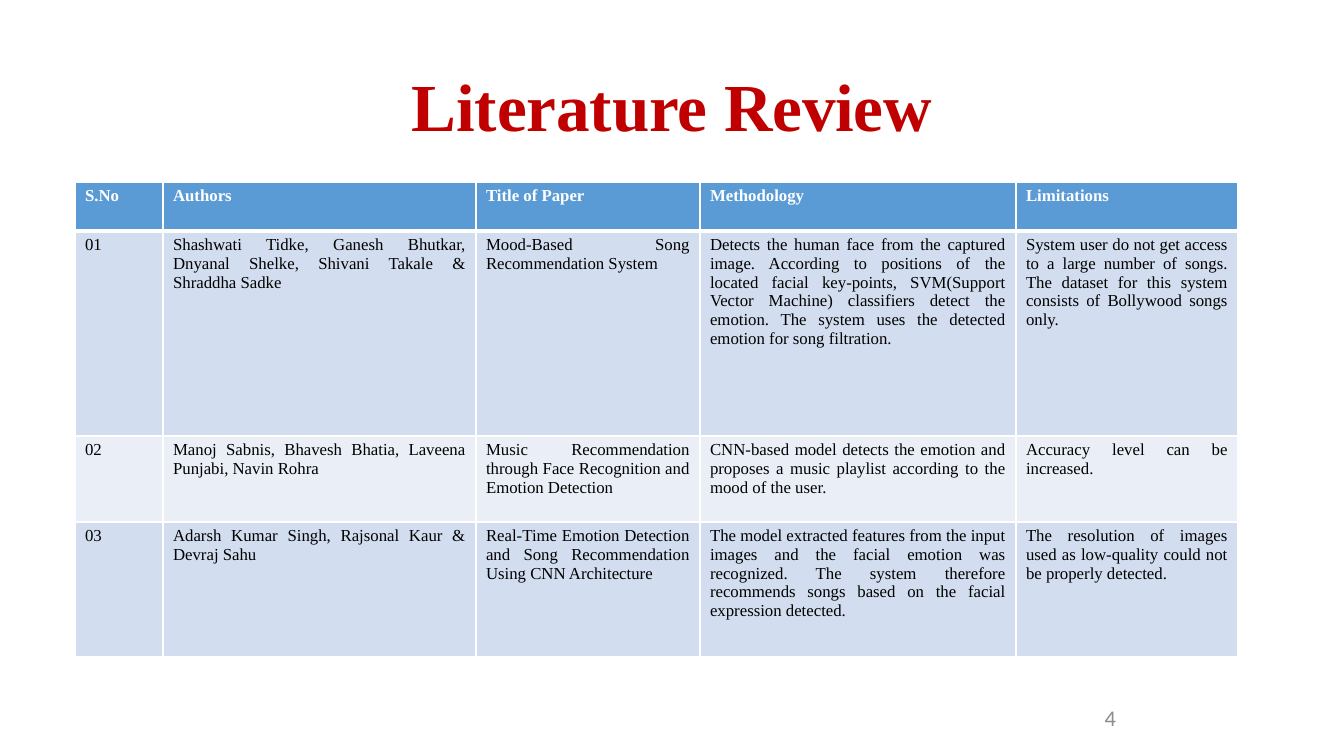
from dataclasses import dataclass

from lxml import etree
from pptx import Presentation
from pptx.dml.color import RGBColor
from pptx.enum.text import MSO_ANCHOR, MSO_AUTO_SIZE, PP_ALIGN
from pptx.oxml.ns import qn
from pptx.util import Emu, Pt

CENTER, JUSTIFY, LEFT, RIGHT = PP_ALIGN.CENTER, PP_ALIGN.JUSTIFY, PP_ALIGN.LEFT, PP_ALIGN.RIGHT
MIDDLE = MSO_ANCHOR.MIDDLE
FIT_SHAPE = MSO_AUTO_SIZE.SHAPE_TO_FIT_TEXT
EMU_PER_PX = 914400 / 100.8
TITLE_ONLY = 5

SERIF = "Times New Roman"
WHITE, BLACK, RED, GREY = "FFFFFF", "000000", "C00000", "8C8C8C"
HEADER_BLUE, BAND_DARK, BAND_LIGHT = "5B9BD5", "D2DEEF", "EAEFF7"


@dataclass(frozen=True)
class Paper:
    authors: str
    title: str
    methodology: str
    limitations: str


HEADINGS = ["S.No", "Authors", "Title of Paper", "Methodology", "Limitations"]
COLUMN_WIDTHS = [88, 313, 224, 316, 222]
ROW_HEIGHTS = [49, 205, 86, 135]
PAPERS = [
    Paper(
        "Shashwati Tidke, Ganesh Bhutkar, Dnyanal Shelke, Shivani Takale & Shraddha Sadke",
        "Mood-Based Song Recommendation System",
        "Detects the human face from the captured image. According to positions of the "
        "located facial key-points, SVM(Support Vector Machine) classifiers detect the "
        "emotion. The system uses the detected emotion for song filtration.",
        "System user do not get access to a large number of songs. The dataset for this "
        "system consists of Bollywood songs only.",
    ),
    Paper(
        "Manoj Sabnis, Bhavesh Bhatia, Laveena Punjabi, Navin Rohra",
        "Music Recommendation through Face Recognition and Emotion Detection",
        "CNN-based model detects the emotion and proposes a music playlist according to "
        "the mood of the user.",
        "Accuracy level can be increased.",
    ),
    Paper(
        "Adarsh Kumar Singh, Rajsonal Kaur & Devraj Sahu",
        "Real-Time Emotion Detection and Song Recommendation Using CNN Architecture",
        "The model extracted features from the input images and the facial emotion was "
        "recognized. The system therefore recommends songs based on the facial expression "
        "detected.",
        "The resolution of images used as low-quality could not be properly detected.",
    ),
]


def px(length: int) -> Emu:
    return Emu(round(length * EMU_PER_PX))


def color(hex_code: str) -> RGBColor:
    return RGBColor.from_string(hex_code)


def write(frame, text: str, *, size: int = 12, font: str = SERIF, ink: str = BLACK,
          bold: bool = False, align=LEFT):
    """Fill a text frame with one formatted paragraph and return it."""
    paragraph = frame.paragraphs[0]
    paragraph.alignment = align
    run = paragraph.add_run()
    run.text = text
    run.font.size = Pt(size)
    run.font.name = font
    run.font.bold = bold
    run.font.color.rgb = color(ink)
    return paragraph


def place(shape, left: int, top: int, width: int, height: int) -> None:
    shape.left, shape.top, shape.width, shape.height = map(px, (left, top, width, height))


def set_borders(cell, top: int, bottom: int) -> None:
    """Draw white cell borders; widths are in points."""
    properties = cell._tc.get_or_add_tcPr()
    widths = {"lnL": 1, "lnR": 1, "lnT": top, "lnB": bottom}
    for position, (side, width) in enumerate(widths.items()):
        line = etree.Element(qn(f"a:{side}"), w=str(Pt(width)))
        fill = etree.SubElement(line, qn("a:solidFill"))
        etree.SubElement(fill, qn("a:srgbClr"), val=WHITE)
        properties.insert(position, line)


def add_title(slide) -> None:
    title = slide.shapes.title
    place(title, 332, 29, 680, 109)
    frame = title.text_frame
    frame.word_wrap = True
    frame.auto_size = FIT_SHAPE
    frame.vertical_anchor = MIDDLE
    frame.margin_left = frame.margin_right = frame.margin_bottom = 0
    frame.margin_top = px(1)
    heading = write(frame, "Literature Review", size=48, ink=RED, bold=True, align=CENTER)
    heading.line_spacing = 1.5
    heading.space_before = Pt(1)
    heading.runs[0].font._element.set("spc", "-10")


def add_review_table(slide) -> None:
    rows = [HEADINGS] + [
        [f"{number:02d}", paper.authors, paper.title, paper.methodology, paper.limitations]
        for number, paper in enumerate(PAPERS, start=1)
    ]
    table = slide.shapes.add_table(
        len(rows), len(HEADINGS), px(75), px(182),
        px(sum(COLUMN_WIDTHS)), px(sum(ROW_HEIGHTS)),
    ).table
    for column, width in zip(table.columns, COLUMN_WIDTHS):
        column.width = px(width)
    for row, height in zip(table.rows, ROW_HEIGHTS):
        row.height = px(height)

    for r, entries in enumerate(rows):
        is_header = r == 0
        band = HEADER_BLUE if is_header else BAND_DARK if r % 2 else BAND_LIGHT
        for c, entry in enumerate(entries):
            cell = table.cell(r, c)
            cell.fill.solid()
            cell.fill.fore_color.rgb = color(band)
            set_borders(cell, top=3 if r == 1 else 1, bottom=3 if is_header else 1)
            write(cell.text_frame, entry, ink=WHITE if is_header else BLACK,
                  bold=is_header, align=LEFT if is_header or c == 0 else JUSTIFY)


def add_page_number(slide) -> None:
    page_number = slide.shapes.add_textbox(0, 0, 0, 0)
    place(page_number, 894, 704, 232, 27)
    frame = page_number.text_frame
    frame.word_wrap = True
    frame.vertical_anchor = MIDDLE
    write(frame, "4", size=16, font="Calibri", ink=GREY, align=RIGHT)


def main() -> None:
    presentation = Presentation()
    presentation.slide_width, presentation.slide_height = px(1344), px(756)
    slide = presentation.slides.add_slide(presentation.slide_layouts[TITLE_ONLY])
    add_page_number(slide)
    add_title(slide)
    add_review_table(slide)
    presentation.save("out.pptx")


if __name__ == "__main__":
    main()
